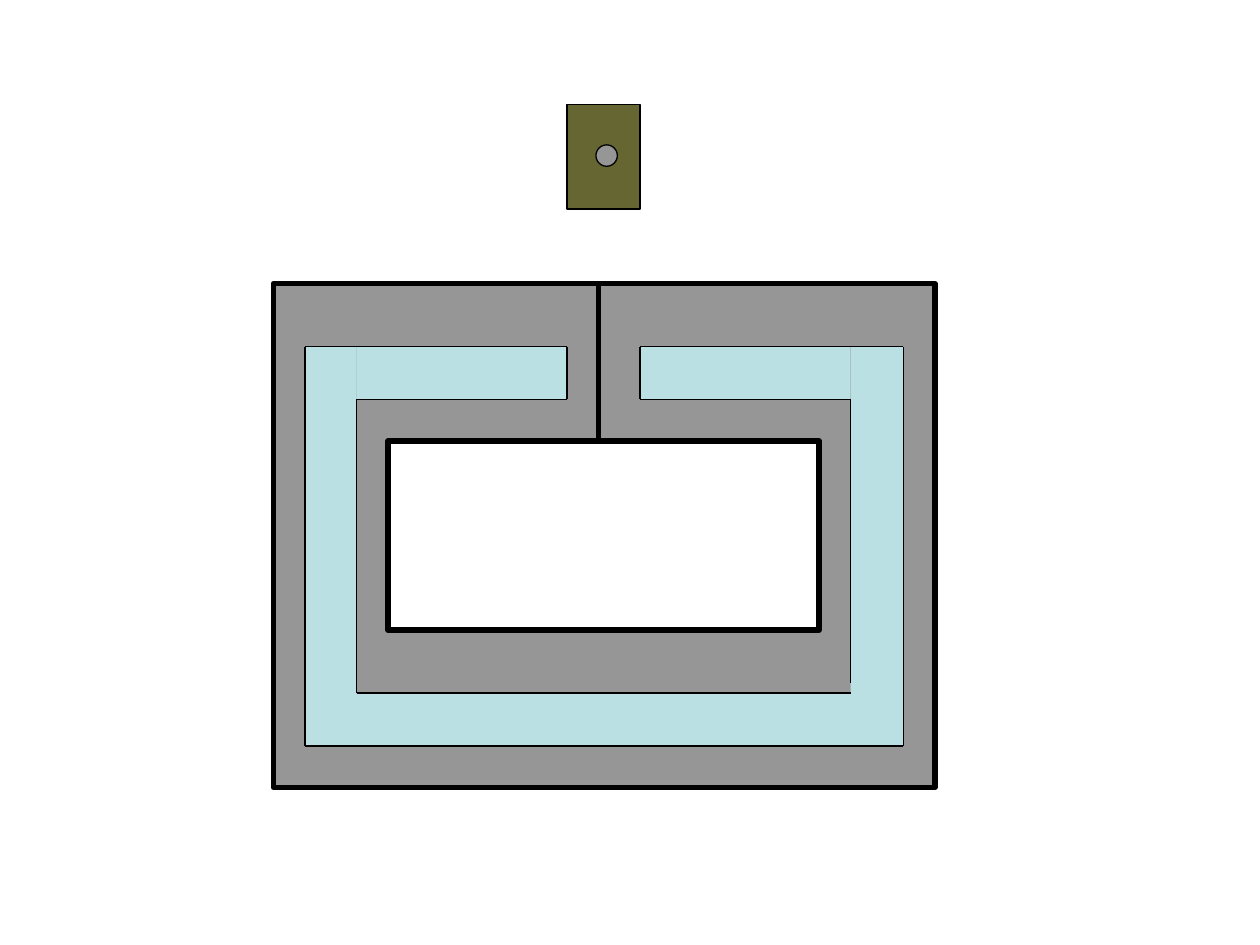
from itertools import pairwise

from lxml import etree
from pptx import Presentation
from pptx.dml.color import RGBColor
from pptx.enum.shapes import MSO_CONNECTOR, MSO_SHAPE as SHAPE
from pptx.oxml.ns import qn
from pptx.util import Inches, Pt

COLORS = {"wall": "969696", "channel": "BBE0E3", "block": "666633", "outline": "000000"}
THICK, THIN = 3, 0.75

# Rectangles are (left, top, right, bottom) in inches.
FRAME = (2.17, 2.25, 7.42, 6.25)
OPENING = (3.08, 3.5, 6.5, 5)
SPLIT_X = 4.75
CHANNEL_OUTER = (2.42, 2.75, 7.17, 5.92)
CHANNEL_INNER = (2.83, 3.17, 6.75, 5.5)
GAP_LEFT, GAP_RIGHT = 4.5, 5.08
BLOCK = (GAP_LEFT, 0.83, GAP_RIGHT, 1.66)
PIN = (4.73, 1.15, 4.9, 1.32)


def color(name):
    return RGBColor.from_string(COLORS[name])


def style_line(line, width):
    line.color.rgb = color("outline")
    line.width = Pt(width)


def style_shape(shape, fill, width):
    shape.shadow.inherit = False
    if fill:
        shape.fill.solid()
        shape.fill.fore_color.rgb = color(fill)
    else:
        shape.fill.background()
    if width:
        style_line(shape.line, width)
    else:
        shape.line.fill.background()


def add_box(shapes, box, fill=None, width=None, kind=SHAPE.RECTANGLE):
    left, top, right, bottom = box
    shape = shapes.add_shape(kind, Inches(left), Inches(top),
                             Inches(right - left), Inches(bottom - top))
    style_shape(shape, fill, width)


def add_line(shapes, start, end, width):
    line = shapes.add_connector(MSO_CONNECTOR.STRAIGHT,
                                *(Inches(value) for value in start + end))
    style_line(line.line, width)
    etree.SubElement(line._element.spPr, qn("a:effectLst"))


def add_frame(shapes):
    """Grey walls around the opening, split at the top."""
    left, top, right, bottom = FRAME
    in_left, in_top, in_right, in_bottom = OPENING
    walls = [
        (in_right, in_top, right, in_bottom),
        (SPLIT_X, top, right, in_top),
        (in_left, in_bottom, right, bottom),
        (left, in_top, in_left, bottom),
        (left, top, SPLIT_X, in_top),
    ]
    for wall in walls:
        add_box(shapes, wall, "wall")
    add_line(shapes, (SPLIT_X, top), (SPLIT_X, in_top), THICK)

    corners = [(in_left, in_top), (in_left, in_bottom), (in_right, in_bottom),
               (in_right, in_top), (SPLIT_X, in_top)]
    builder = shapes.build_freeform(Inches(SPLIT_X), Inches(in_top))
    builder.add_line_segments([(Inches(x), Inches(y)) for x, y in corners], close=True)
    style_shape(builder.convert_to_shape(), None, THICK)
    add_box(shapes, FRAME, width=THICK)


def add_channel(shapes):
    """Pale channel inside the walls, open between its two top ends."""
    left, top, right, bottom = CHANNEL_OUTER
    in_left, in_top, in_right, in_bottom = CHANNEL_INNER
    parts = [
        (in_left, top, GAP_LEFT, in_top),
        (GAP_RIGHT, top, in_right, in_top),
        (left, top, in_left, in_bottom),
        (in_right, top, right, in_bottom),
        (left, in_bottom, right, bottom),
    ]
    for part in parts:
        add_box(shapes, part, "channel")

    right_side_end = 5.42  # the inner right edge stops short of the corner
    outlines = [
        [(in_right, in_bottom), (in_left, in_bottom), (in_left, in_top),
         (GAP_LEFT, in_top), (GAP_LEFT, top), (left, top), (left, bottom),
         (right, bottom), (right, top), (GAP_RIGHT, top), (GAP_RIGHT, in_top),
         (in_right, in_top), (in_right, right_side_end)],
    ]
    for outline in outlines:
        for start, end in pairwise(outline):
            add_line(shapes, start, end, THIN)


def main():
    deck = Presentation()
    deck.slide_width, deck.slide_height = Inches(10), Inches(7.5)
    shapes = deck.slides.add_slide(deck.slide_layouts[6]).shapes

    add_frame(shapes.add_group_shape().shapes)
    add_box(shapes, BLOCK, "block", THIN)
    add_channel(shapes)
    add_box(shapes, PIN, "wall", THIN, SHAPE.OVAL)
    deck.save("out.pptx")


if __name__ == "__main__":
    main()
